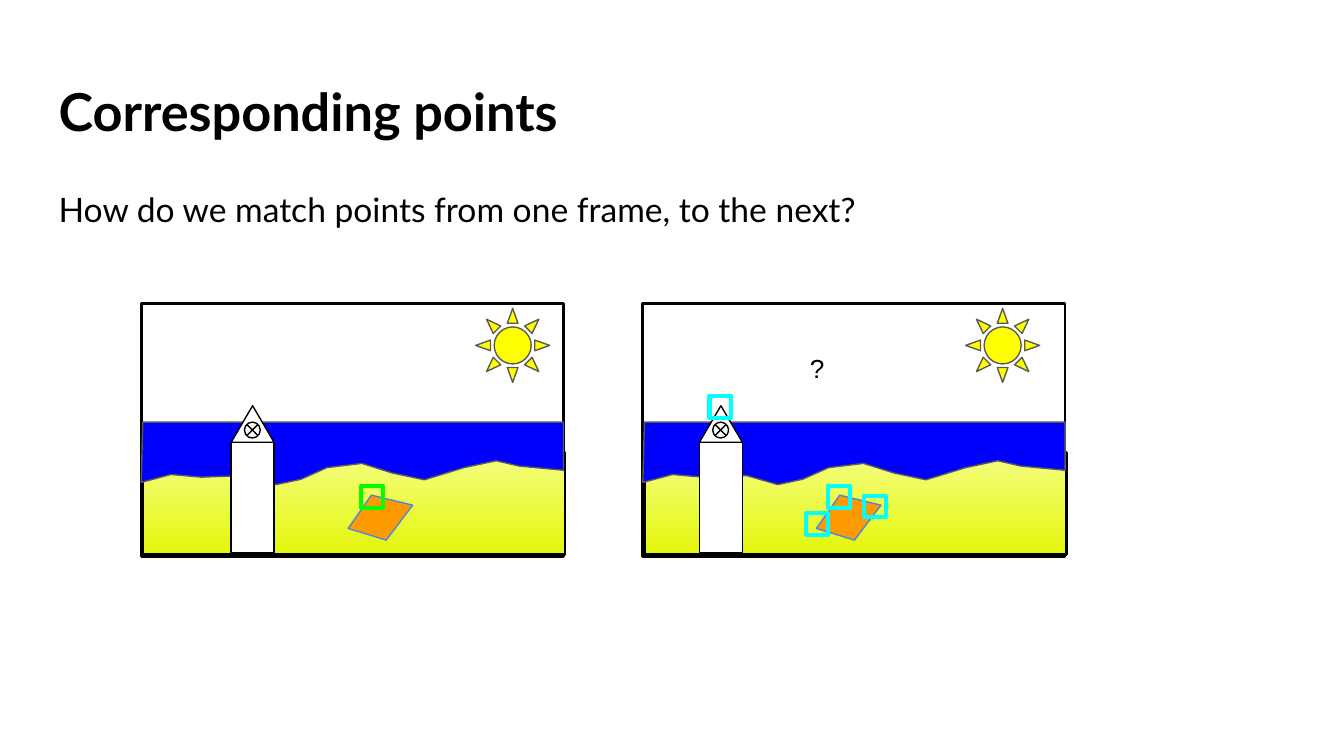
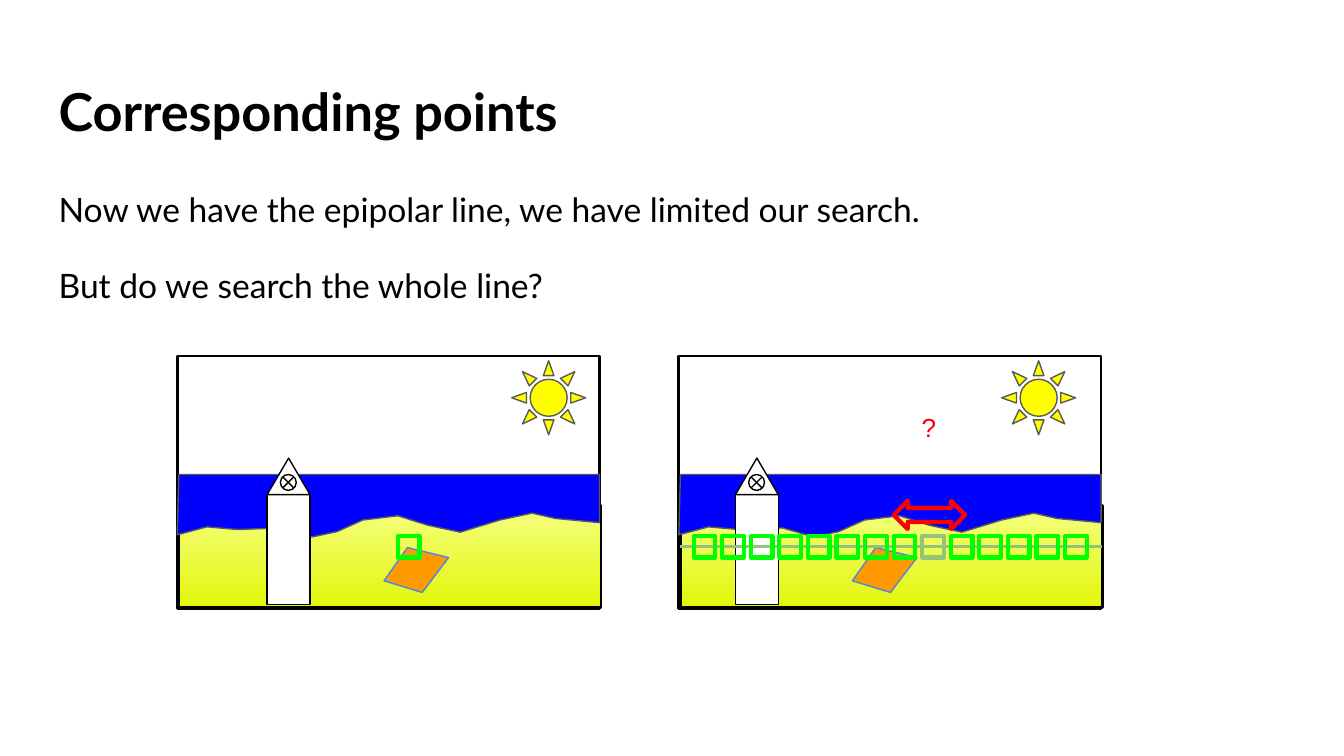
import pptx
import pptx.dml.color
import pptx.enum.shapes
import pptx.enum.text
import pptx.oxml.ns
import pptx.util
from lxml import etree

Cm = pptx.util.Cm
Pt = pptx.util.Pt
SHAPE = pptx.enum.shapes.MSO_SHAPE
CENTER = pptx.enum.text.PP_ALIGN.CENTER

BLACK, WHITE, GREY, RED = "000000", "FFFFFF", "595959", "FF0000"
GREEN, CYAN, SAGE = "00FF00", "00FFFF", "93C47D"
SEA_BLUE, SUN_YELLOW, RUG_ORANGE, RUG_EDGE = "0000FF", "FFFF00", "FF9900", "4A86E8"
SAND = ("F5FF83", "E3F609")

TITLE_FONT = {"name": "Lato", "size": Pt(28), "bold": True}
BODY_FONT = {"name": "Lato", "size": Pt(18)}
QUESTION_FONT = {"name": "Arial", "size": Pt(14)}
PLACEHOLDER_INSETS = {side: Cm(0.25) for side in
                      ("margin_left", "margin_top", "margin_right", "margin_bottom")}

SEA_OUTLINE = [
    (0.03, 2.24), (7.98, 2.24), (7.98, 3.15), (7.14, 3.07), (6.71, 2.97),
    (6.1, 3.1), (5.35, 3.33), (4.74, 3.2), (4.17, 3.02), (3.51, 3.1),
    (3.02, 3.32), (2.55, 3.42), (1.96, 3.25), (1.14, 3.28), (0.56, 3.23), (0, 3.38),
]
RUG_OUTLINE = [(0.44, 0), (1.22, 0.19), (0.72, 0.85), (0, 0.63)]
MARKER_SIZE = 0.41


def colour(hex_code):
    return pptx.dml.color.RGBColor.from_string(hex_code)


def apply(target, values):
    for attribute, value in values.items():
        setattr(target, attribute, value)


def paint(shape, fill, edge, width):
    shape.shadow.inherit = False
    if fill is None:
        shape.fill.background()
    elif isinstance(fill, tuple):
        shape.fill.gradient()
        shape.fill.gradient_angle = 270
        for stop, shade in zip(shape.fill.gradient_stops, fill):
            stop.color.rgb = colour(shade)
    else:
        shape.fill.solid()
        shape.fill.fore_color.rgb = colour(fill)
    shape.line.color.rgb = colour(edge)
    shape.line.width = Pt(width)


def add_preset(shapes, preset, box, fill=None, edge=BLACK, width=0.75):
    paint(shapes.add_shape(preset, *map(Cm, box)), fill, edge, width)


def add_outline(shapes, points, origin, fill, edge):
    left, top = origin
    corners = [(Cm(left + x), Cm(top + y)) for x, y in points]
    builder = shapes.build_freeform(*corners[0])
    builder.add_line_segments(corners[1:], close=True)
    paint(builder.convert_to_shape(), fill, edge, 0.75)


def add_text(slide, box, paragraphs, font, hex_code=BLACK, insets=None):
    frame = slide.shapes.add_textbox(*map(Cm, box)).text_frame
    frame.word_wrap = True
    apply(frame, insets or {})
    for index, (wording, layout) in enumerate(paragraphs):
        paragraph = frame.add_paragraph() if index else frame.paragraphs[0]
        apply(paragraph, layout)
        run = paragraph.add_run()
        run.text = wording
        apply(run.font, font)
        run.font.color.rgb = colour(hex_code)


def add_title(slide):
    add_text(slide, (0.86, 1.24, 23.67, 1.6), [("Corresponding points", {})],
             TITLE_FONT, insets=PLACEHOLDER_INSETS)


def add_body(slide, height, paragraphs):
    add_text(slide, (0.86, 3.2, 23.67, height), paragraphs,
             BODY_FONT, insets=PLACEHOLDER_INSETS)


def add_question(slide, left, top, hex_code):
    add_text(slide, (left, top, 1.07, 1.7), [("?", {"alignment": CENTER})],
             QUESTION_FONT, hex_code)


def add_view(slide, left, top, tower_x, sun_x):
    shapes = slide.shapes.add_group_shape().shapes
    tower = left + tower_x
    add_preset(shapes, SHAPE.RECTANGLE, (left, top, 7.98, 4.78), width=1.5)
    add_preset(shapes, SHAPE.RECTANGLE, (left + 0.03, top + 2.82, 7.98, 1.93),
               SAND, width=1.5)
    add_outline(shapes, SEA_OUTLINE, (left, top), SEA_BLUE, GREY)
    add_preset(shapes, SHAPE.RECTANGLE, (tower, top + 2.62, 0.81, 2.08), WHITE)
    add_preset(shapes, SHAPE.ISOSCELES_TRIANGLE, (tower, top + 1.93, 0.81, 0.69), WHITE)
    add_preset(shapes, SHAPE.FLOWCHART_SUMMING_JUNCTION,
               (tower + 0.25, top + 2.24, 0.3, 0.3), WHITE)
    add_preset(shapes, SHAPE.SUN, (left + sun_x, top + 0.09, 1.4, 1.4), SUN_YELLOW, GREY)
    add_outline(shapes, RUG_OUTLINE, (tower + 2.21, top + 3.62), RUG_ORANGE, RUG_EDGE)


def add_view_pair(slide, left, top):
    add_view(slide, left, top, tower_x=1.7, sun_x=6.32)
    add_view(slide, left + 9.48, top, tower_x=1.07, sun_x=6.1)


def add_marker(slide, left, top, edge):
    add_preset(slide.shapes, SHAPE.RECTANGLE, (left, top, MARKER_SIZE, MARKER_SIZE),
               edge=edge, width=2.25)


def add_epipolar_line(slide, start, end, height):
    line = slide.shapes.add_connector(pptx.enum.shapes.MSO_CONNECTOR.STRAIGHT,
                                      Cm(start), Cm(height), Cm(end), Cm(height))
    line.line.color.rgb = colour(SAGE)
    line.line.width = Pt(1.5)
    etree.SubElement(line._element.spPr, pptx.oxml.ns.qn("a:effectLst"))


def build_matching(slide):
    add_body(slide, 2.36, [("How do we match points from one frame, to the next?",
                            {"line_spacing": 1.15, "space_after": Pt(16)})])
    add_title(slide)
    add_view_pair(slide, 2.67, 5.74)
    add_marker(slide, 6.83, 9.19, GREEN)
    for left, top in [(15.65, 9.19), (13.41, 7.49), (15.24, 9.7), (16.33, 9.37)]:
        add_marker(slide, left, top, CYAN)
    add_question(slide, 14.91, 6.53, BLACK)


def build_search(slide):
    add_title(slide)
    add_body(slide, 2.57, [
        ("Now we have the epipolar line, we have limited our search.",
         {"line_spacing": 1.15}),
        ("But do we search the whole line?",
         {"line_spacing": 1.15, "space_before": Pt(16), "space_after": Pt(16)}),
    ])
    add_view_pair(slide, 3.35, 6.73)
    row_top = 10.13
    add_marker(slide, 7.52, row_top, GREEN)
    add_epipolar_line(slide, 12.85, 20.83, row_top + MARKER_SIZE / 2)
    candidates, match = 14, 8
    for step in range(candidates):
        add_marker(slide, 13.11 + step * 0.54, row_top, SAGE if step == match else GREEN)
    add_preset(slide.shapes, SHAPE.LEFT_RIGHT_ARROW, (16.89, 9.47, 1.35, 0.53),
               edge=RED, width=2.25)
    add_question(slide, 17.02, 7.65, RED)


def main():
    deck = pptx.Presentation()
    apply(deck, {"slide_width": Cm(25.4), "slide_height": Cm(14.29)})
    for build in (build_matching, build_search):
        build(deck.slides.add_slide(deck.slide_layouts[6]))
    deck.save("out.pptx")


if __name__ == "__main__":
    main()
